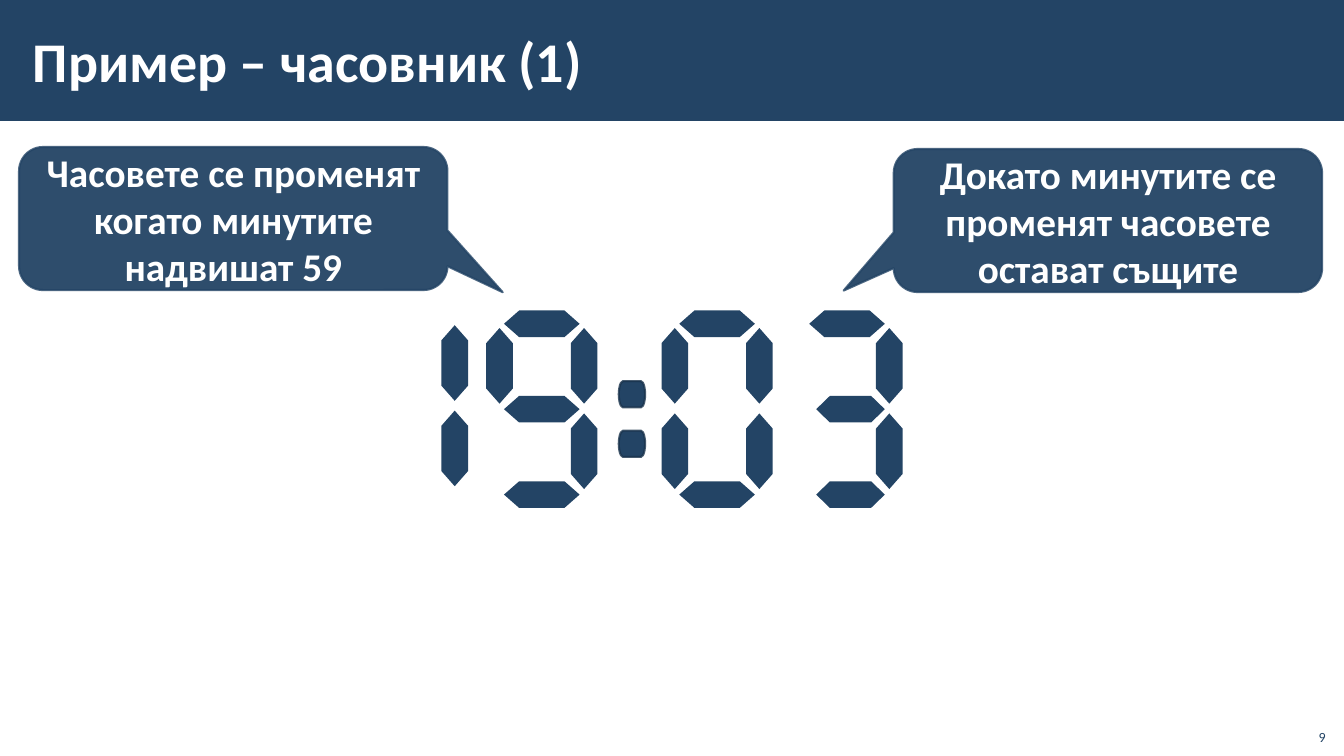
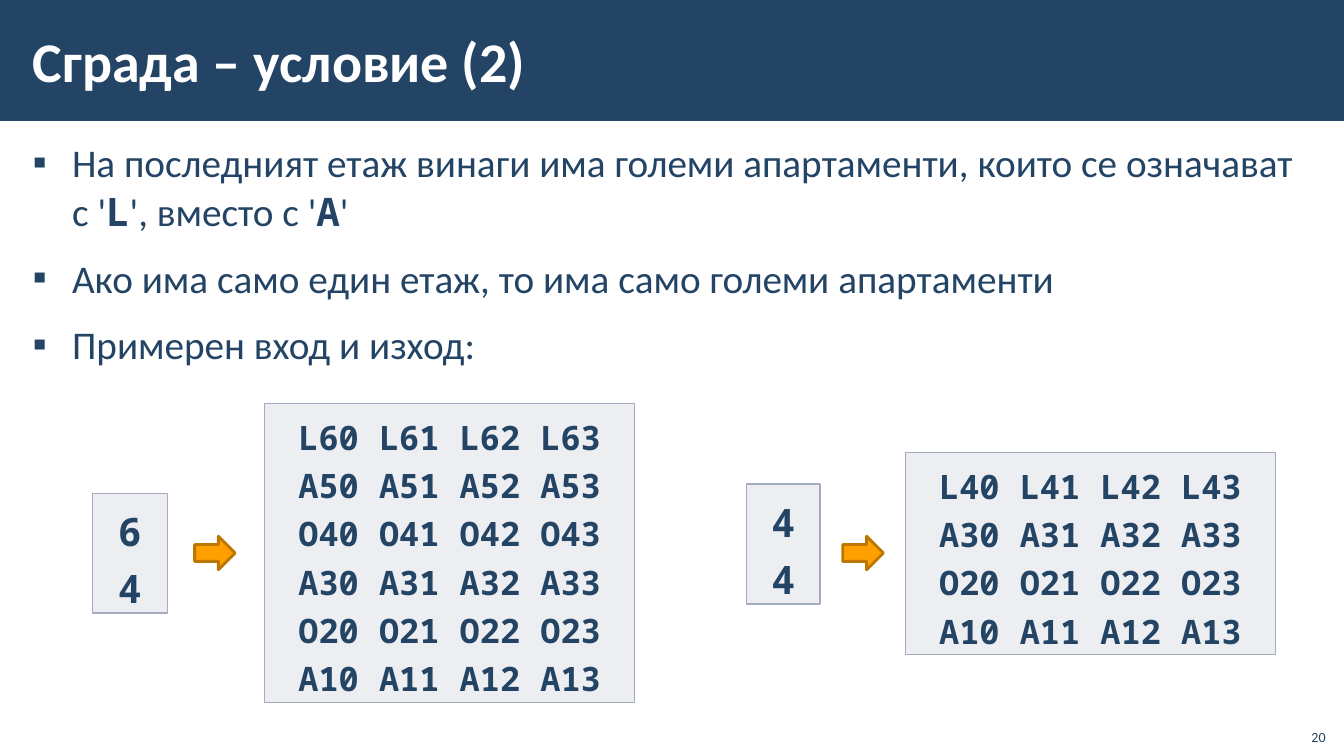
from dataclasses import dataclass

from lxml import etree
from pptx import Presentation
from pptx.dml.color import RGBColor
from pptx.enum.shapes import MSO_SHAPE
from pptx.enum.text import MSO_ANCHOR, MSO_AUTO_SIZE, PP_ALIGN
from pptx.oxml.ns import qn
from pptx.util import Pt

RECT = MSO_SHAPE.RECTANGLE
CALLOUT = MSO_SHAPE.ROUNDED_RECTANGULAR_CALLOUT
ARROW = MSO_SHAPE.RIGHT_ARROW
SEGMENT = MSO_SHAPE.FLOWCHART_PREPARATION
DOT = MSO_SHAPE.FLOWCHART_TERMINATOR
LEFT, CENTER, RIGHT = PP_ALIGN.LEFT, PP_ALIGN.CENTER, PP_ALIGN.RIGHT
TOP, MIDDLE, BOTTOM = MSO_ANCHOR.TOP, MSO_ANCHOR.MIDDLE, MSO_ANCHOR.BOTTOM
NO_FIT, FIT_SHAPE = MSO_AUTO_SIZE.NONE, MSO_AUTO_SIZE.SHAPE_TO_FIT_TEXT
TITLE_ONLY, TITLE_AND_BODY = 5, 1


@dataclass(frozen=True)
class Theme:
    navy: str = "234465"
    dot_line: str = "1A334C"
    white: str = "FFFFFF"
    gray: str = "A3ABBC"
    orange: str = "FFA000"
    orange_line: str = "BD7600"
    font: str = "Calibri"
    mono: str = "Noto Sans Mono"
    title: int = 40
    text: int = 28
    code: int = 24
    number: int = 10


T = Theme()

# Seven-segment display: (x, y) of each segment's centre from the top one, and rotation
SEGMENTS = {
    "a": (0, 0, 0), "b": (30.2, 30, 90), "c": (30.2, 91, 90), "d": (0, 122, 0),
    "e": (-30.2, 91, 90), "f": (-30.2, 30, 90), "g": (0, 61, 0),
}
SEGMENT_LENGTH, SEGMENT_WIDTH = 54, 19


# Text
def add_run(p, text, size, color, bold=False, font=T.font):
    r = p.add_run()
    r.text = text
    for name, value in dict(name=font, size=Pt(size), bold=bold).items():
        setattr(r.font, name, value)
    r.font.color.rgb = RGBColor.from_string(color)


def format_frame(tf, anchor, auto_size=NO_FIT, margins=(7.2, 3.6)):
    side, end = map(Pt, margins)
    values = dict(word_wrap=True, auto_size=auto_size, vertical_anchor=anchor,
                  margin_left=side, margin_right=side, margin_top=end, margin_bottom=end)
    for name, value in values.items():
        setattr(tf, name, value)


def add_paragraph(tf, index, **values):
    p = tf.add_paragraph() if index else tf.paragraphs[0]
    for name, value in values.items():
        setattr(p, name, value)
    return p


def add_bullet(p, indent=28):
    pPr = p._p.get_or_add_pPr()
    pPr.set("marL", str(Pt(indent)))
    pPr.set("indent", str(-Pt(indent)))
    etree.SubElement(pPr, qn("a:buFont")).set("typeface", T.font)
    etree.SubElement(pPr, qn("a:buChar")).set("char", "▪")


# Shapes
def place(sp, box):
    for name, value in zip(("left", "top", "width", "height"), box):
        setattr(sp, name, Pt(value))


def paint(fill, color, opacity=100):
    fill.solid()
    fill.fore_color.rgb = RGBColor.from_string(color)
    if opacity < 100:
        clr = fill._xPr.find(qn("a:solidFill"))[0]
        etree.SubElement(clr, qn("a:alpha")).set("val", str(opacity * 1000))


def add_shape(shapes, kind, box, color, opacity=100, line=None, weight=1, line_opacity=100):
    sp = shapes.add_shape(kind, *map(Pt, box))
    sp.shadow.inherit = False
    paint(sp.fill, color, opacity)
    if line:
        sp.line.width = Pt(weight)
        paint(sp.line.fill, line, line_opacity)
    else:
        sp.line.fill.background()
    return sp


# Shared slide parts
def add_band(prs, s):
    band = add_shape(s.shapes, RECT, (0, 0, 960, 86.4), T.navy)
    prs.slide_master.shapes.element.insert(2, band.element)


def add_slide(prs, layout, title, number):
    s = prs.slides.add_slide(prs.slide_layouts[layout])
    place(s.shapes.title, (15, 8, 765, 70))
    tf = s.shapes.title.text_frame
    format_frame(tf, MIDDLE, margins=(8.5, 2.8))
    add_run(add_paragraph(tf, 0, alignment=LEFT), title, T.title, T.white, True)

    tf = s.shapes.add_textbox(Pt(925.2), Pt(512.6), Pt(28.8), Pt(23)).text_frame
    format_frame(tf, BOTTOM)
    add_run(add_paragraph(tf, 0, alignment=RIGHT), str(number), T.number, T.navy)
    return s


# Clock slide
def add_digit(shapes, x, y, lit, inset=0):
    """Draw the lit segments; inset shortens the middle and bottom ones at the left."""
    for key in lit:
        dx, dy, rotation = SEGMENTS[key]
        cut = inset if key in "dg" else 0
        length = SEGMENT_LENGTH - cut
        box = (x + dx + cut / 2 - length / 2, y + dy - SEGMENT_WIDTH / 2,
               length, SEGMENT_WIDTH)
        add_shape(shapes, SEGMENT, box, T.navy).rotation = rotation


def add_clock(s):
    shapes = s.shapes.add_group_shape().shapes
    top = 231.3
    add_digit(shapes, 294.6, top - 2, "bc")
    add_digit(shapes, 387, top, "abcdfg")
    add_digit(shapes, 512.2, top, "abcdef")
    add_digit(shapes, 605, top, "abcdg", inset=5)
    for y in (272.2, 307.6):
        add_shape(shapes, DOT, (442, y, 18.8, 18.8), T.navy,
                  line=T.dot_line, weight=1.5, line_opacity=80)


def add_callout(s, left, top, tip, text):
    sp = add_shape(s.shapes, CALLOUT, (left, top, 306, 102.2), T.navy, 95,
                   T.navy, 1.5, 80)
    for i, value in enumerate((*tip, 0.167)):
        sp.adjustments[i] = value
    format_frame(sp.text_frame, MIDDLE)
    p = add_paragraph(sp.text_frame, 0, alignment=CENTER)
    add_run(p, text, T.text, T.white, True)


# Building slide
def add_list(s, items):
    """Each item is a list of pieces; every second piece is bold code."""
    body = s.placeholders[1]
    place(body, (15, 94.3, 930, 435.6))
    tf = body.text_frame
    format_frame(tf, TOP, margins=(8.5, 2.8))
    for i, pieces in enumerate(items):
        p = add_paragraph(tf, i, line_spacing=1.05, space_before=Pt(6), space_after=Pt(6))
        add_bullet(p)
        for j, piece in enumerate(pieces):
            code = j % 2 == 1
            add_run(p, piece, T.text, T.navy, code, T.mono if code else T.font)


def add_code_box(s, box, lines, size):
    sp = add_shape(s.shapes, RECT, box, T.gray, 20, T.gray)
    format_frame(sp.text_frame, TOP, FIT_SHAPE)
    for i, line in enumerate(lines):
        p = add_paragraph(sp.text_frame, i, alignment=CENTER, line_spacing=1.2)
        add_run(p, line, size, T.navy, True, T.mono)


def add_example(s, input_box, arrow_left, output_box, inputs, rows):
    add_code_box(s, input_box, inputs, T.text)
    add_shape(s.shapes, ARROW, (arrow_left, 383, 29, 24), T.orange,
              line=T.orange_line, weight=2)
    add_code_box(s, output_box, rows, T.code)


def main():
    prs = Presentation()
    prs.slide_width, prs.slide_height = Pt(960), Pt(540)

    s = add_slide(prs, TITLE_ONLY, "Пример – часовник (1)", 9)
    add_band(prs, s)
    add_clock(s)
    add_callout(s, 13.6, 105, (0.629, 0.515),
                "Часовете се променят когато минутите надвишат 59")
    add_callout(s, 638.4, 106.4, (-0.617, 0.49),
                "Докато минутите се променят часовете остават същите")

    s = add_slide(prs, TITLE_AND_BODY, "Сграда – условие (2)", 20)
    add_list(s, [
        ["На последният етаж винаги има големи апартаменти, които се означават с '",
         "L", "', вместо с '", "А", "'"],
        ["Ако има само един етаж, то има само големи апартаменти"],
        ["Примерен вход и изход:"],
    ])
    add_example(s, (66, 352.3, 53.6, 85.7), 139, (188.8, 288.2, 264.6, 213.8), "64", [
        "L60 L61 L62 L63",
        "A50 A51 A52 A53",
        "O40 O41 O42 O43",
        "A30 A31 A32 A33",
        "O20 O21 O22 O23",
        "A10 A11 A12 A13",
    ])
    add_example(s, (533.2, 345.8, 52.6, 85.7), 602, (646.6, 323.2, 264.4, 144.5), "44", [
        "L40 L41 L42 L43",
        "A30 A31 A32 A33",
        "O20 O21 O22 O23",
        "A10 A11 A12 A13",
    ])

    prs.save("out.pptx")


main()
